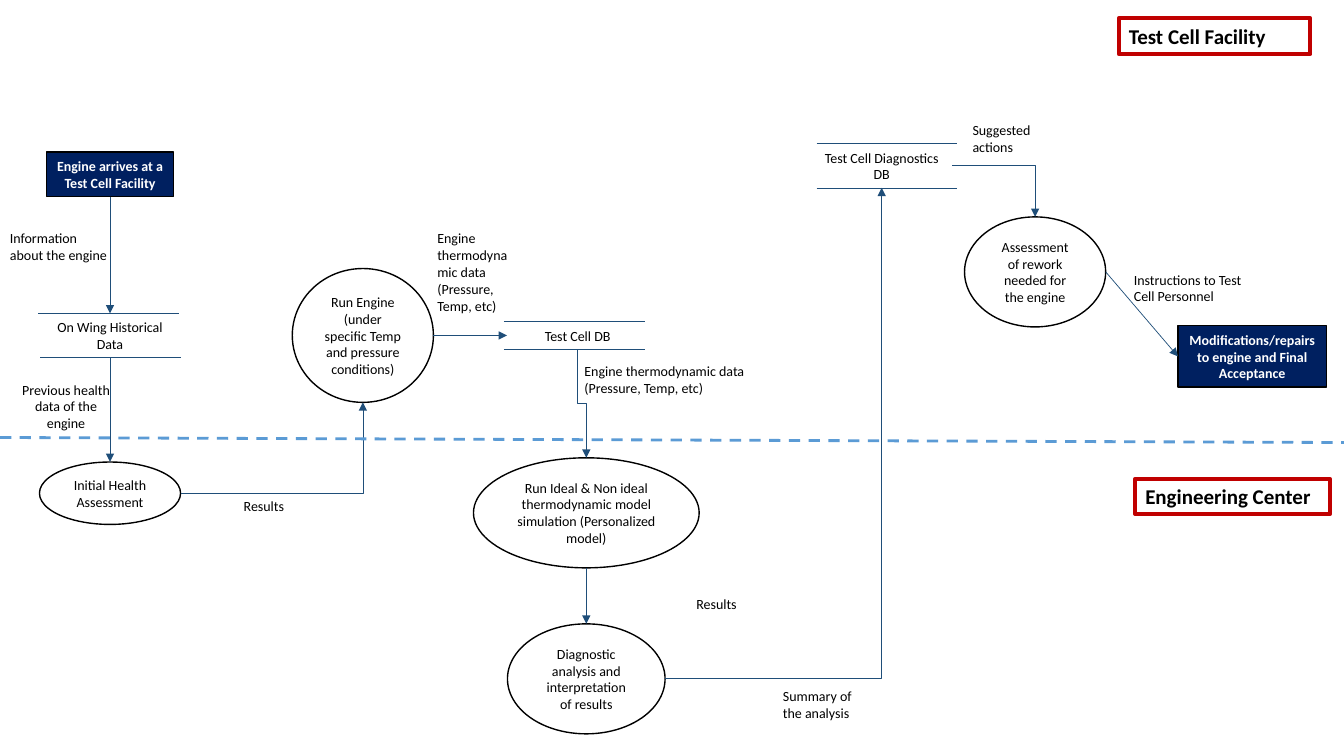
from lxml.etree import SubElement
from pptx import Presentation
from pptx.dml.color import RGBColor
from pptx.enum.dml import MSO_LINE
from pptx.enum.shapes import MSO_CONNECTOR as LINK, MSO_SHAPE as SHAPE
from pptx.enum.text import MSO_ANCHOR as ANCHOR, MSO_AUTO_SIZE as AUTO, PP_ALIGN as ALIGN
from pptx.oxml.ns import qn
from pptx.util import Pt

NAVY, WHITE, BLACK = "002060", "FFFFFF", "000000"
RED, FLOW_BLUE, BORDER_BLUE = "C00000", "1F4E79", "5B9BD5"

# Content: name -> (kind, text, (left, top, width, height))
NODES = {
    "arrival": ("terminal", "Engine arrives at a Test Cell Facility", (33.2, 108.7, 90.8, 31.7)),
    "history": ("store", "On Wing Historical Data", (28.2, 223.9, 100.8, 31.7)),
    "initial": ("process", "Initial Health Assessment", (28.2, 330, 100.8, 44.6)),
    "run": ("process", "Run Engine (under specific Temp and pressure conditions)",
            (208.8, 191.8, 100.8, 95.6)),
    "cell_db": ("store", "Test Cell DB", (362.2, 229.8, 100.8, 19.6)),
    "model": ("process",
              "Run Ideal & Non ideal thermodynamic model simulation (Personalized model)",
              (338.2, 327, 161.2, 78.6)),
    "diagnosis": ("process", "Diagnostic analysis and interpretation of results",
                  (362.5, 445.6, 112.6, 78.6)),
    "diagnostics_db": ("store", "Test Cell Diagnostics DB", (579.4, 102.7, 100.8, 31.5)),
    "rework": ("process", "Assessment of rework needed for the engine",
               (689, 154.9, 100.8, 78.6)),
    "repairs": ("terminal", "Modifications/repairs to engine and Final Acceptance",
                (841.4, 232.6, 106, 44)),
}
# Left ends of the top and bottom rule of each data store
RULES = {"history": (27.2, 28.6), "cell_db": (360, 360), "diagnostics_db": (583.4, 583.4)}
RULE_WIDTH = 100.4

TOP, LEFT, BOTTOM, RIGHT = range(4)
# (from, side, to, side, form)
FLOWS = [
    ("arrival", BOTTOM, "history", TOP, "straight"),
    ("history", BOTTOM, "initial", TOP, "straight"),
    ("initial", RIGHT, "run", BOTTOM, "corner"),
    ("run", RIGHT, "cell_db", LEFT, "straight"),
    ("cell_db", BOTTOM, "model", TOP, "step"),
    ("model", BOTTOM, "diagnosis", TOP, "straight"),
    ("diagnosis", RIGHT, "diagnostics_db", BOTTOM, "corner"),
    ("diagnostics_db", RIGHT, "rework", TOP, "corner"),
    ("rework", RIGHT, "repairs", LEFT, "straight"),
]
LABELS = [
    ("Information about the engine", (0, 160.6, 87.1, 31.7), ALIGN.LEFT),
    ("Previous health data of the engine", (7.9, 268.6, 78.5, 43.9), ALIGN.CENTER),
    ("Results", (167, 352.1, 51.1, 19.4), ALIGN.LEFT),
    ("Engine thermodynamic data (Pressure, Temp, etc)", (305.3, 160.6, 70.6, 67.7), ALIGN.LEFT),
    ("Engine thermodynamic data (Pressure, Temp, etc)", (410.4, 255.6, 146.2, 31.7), ALIGN.LEFT),
    ("Results", (490.3, 421.9, 51.1, 19.4), ALIGN.LEFT),
    ("Suggested actions", (687.6, 83.5, 72, 31.7), ALIGN.LEFT),
    ("Instructions to Test Cell Personnel", (802.8, 190.1, 92.9, 31.7), ALIGN.LEFT),
    ("Summary of the analysis", (552.2, 487.4, 66.2, 31.7), ALIGN.LEFT),
]
ZONES = [
    ("Test Cell Facility", (799.2, 13, 136.8, 25.6)),
    ("Engineering Center", (811, 342, 139, 25.2)),
]
ZONE_BORDER = (0, 312.5, 960, 316.1)

presentation = Presentation()
presentation.slide_width, presentation.slide_height = Pt(960), Pt(540)
slide = presentation.slides.add_slide(presentation.slide_layouts[6])


def color(hex_code):
    return RGBColor.from_string(hex_code)


def write(shape, text, size=10, bold=False, ink=BLACK, align=ALIGN.CENTER, anchor=ANCHOR.MIDDLE):
    frame = shape.text_frame
    frame.word_wrap = True
    frame.auto_size = AUTO.SHAPE_TO_FIT_TEXT
    frame.vertical_anchor = anchor
    paragraph = frame.paragraphs[0]
    paragraph.alignment = align
    run = paragraph.add_run()
    run.text = text
    run.font.name, run.font.size, run.font.bold = "Calibri", Pt(size), bold
    run.font.color.rgb = color(ink)


def add_box(form, place, fill=WHITE, line=None, weight=1):
    shape = slide.shapes.add_shape(form, *map(Pt, place))
    shape.shadow.inherit = False
    shape.fill.solid()
    shape.fill.fore_color.rgb = color(fill)
    if line:
        shape.line.color.rgb = color(line)
        shape.line.width = Pt(weight)
    else:
        shape.line.fill.background()
    return shape


def add_line(ends, ink=FLOW_BLUE, weight=0.5, form=LINK.STRAIGHT, arrow=False):
    connector = slide.shapes.add_connector(form, *map(Pt, ends))
    connector.line.color.rgb = color(ink)
    connector.line.width = Pt(weight)
    if arrow:
        SubElement(connector.line._get_or_add_ln(), qn("a:tailEnd"), type="triangle")
    SubElement(connector._element.spPr, qn("a:effectLst"))
    return connector


def side_point(name, side):
    left, top, width, height = NODES[name][2]
    across, down = {TOP: (0.5, 0), LEFT: (0, 0.5), BOTTOM: (0.5, 1), RIGHT: (1, 0.5)}[side]
    return left + across * width, top + down * height


def add_flow(source, source_side, target, target_side, form):
    x1, y1 = side_point(source, source_side)
    x2, y2 = side_point(target, target_side)
    if form == "step":
        # Down, across, down: a horizontal elbow turned by a quarter
        middle_x, middle_y = (x1 + x2) / 2, (y1 + y2) / 2
        half_length, half_shift = (y2 - y1) / 2, (x2 - x1) / 2
        connector = add_line((middle_x - half_length, middle_y - half_shift,
                              middle_x + half_length, middle_y + half_shift),
                             form=LINK.ELBOW, arrow=True)
        transform = connector._element.spPr.find(qn("a:xfrm"))
        transform.set("rot", str(270 * 60000))
        transform.set("flipH", "1")
        return
    if form == "corner":
        connector = add_line((x1, y1, x2, y2), form=LINK.ELBOW, arrow=True)
        connector._element.spPr.find(qn("a:prstGeom")).set("prst", "bentConnector2")
    else:
        connector = add_line((x1, y1, x2, y2), arrow=True)
    # Rectangles number their sides 0 to 3, so only they are joined
    if NODES[source][0] != "process":
        connector.begin_connect(shapes[source], source_side)
    if NODES[target][0] != "process":
        connector.end_connect(shapes[target], target_side)


# Nodes
shapes = {}
for name, (kind, text, place) in NODES.items():
    terminal = kind == "terminal"
    shapes[name] = add_box(SHAPE.OVAL if kind == "process" else SHAPE.RECTANGLE, place,
                           fill=NAVY if terminal else WHITE,
                           line=None if kind == "store" else BLACK)
    write(shapes[name], text, bold=terminal, ink=WHITE if terminal else BLACK)

# Flows and data store rules
for flow in FLOWS:
    add_flow(*flow)
for name, rule_lefts in RULES.items():
    _, top, _, height = NODES[name][2]
    for left, y in zip(rule_lefts, (top, top + height)):
        add_line((left, y, left + RULE_WIDTH, y))

# Flow labels
for text, place, align in LABELS:
    write(slide.shapes.add_textbox(*map(Pt, place)), text, align=align, anchor=ANCHOR.TOP)

# Zones and the border between them
add_line(ZONE_BORDER, ink=BORDER_BLUE, weight=2).line.dash_style = MSO_LINE.DASH
for text, place in ZONES:
    write(add_box(SHAPE.RECTANGLE, place, line=RED, weight=3), text,
          size=15, bold=True, align=ALIGN.LEFT)

presentation.save("out.pptx")
